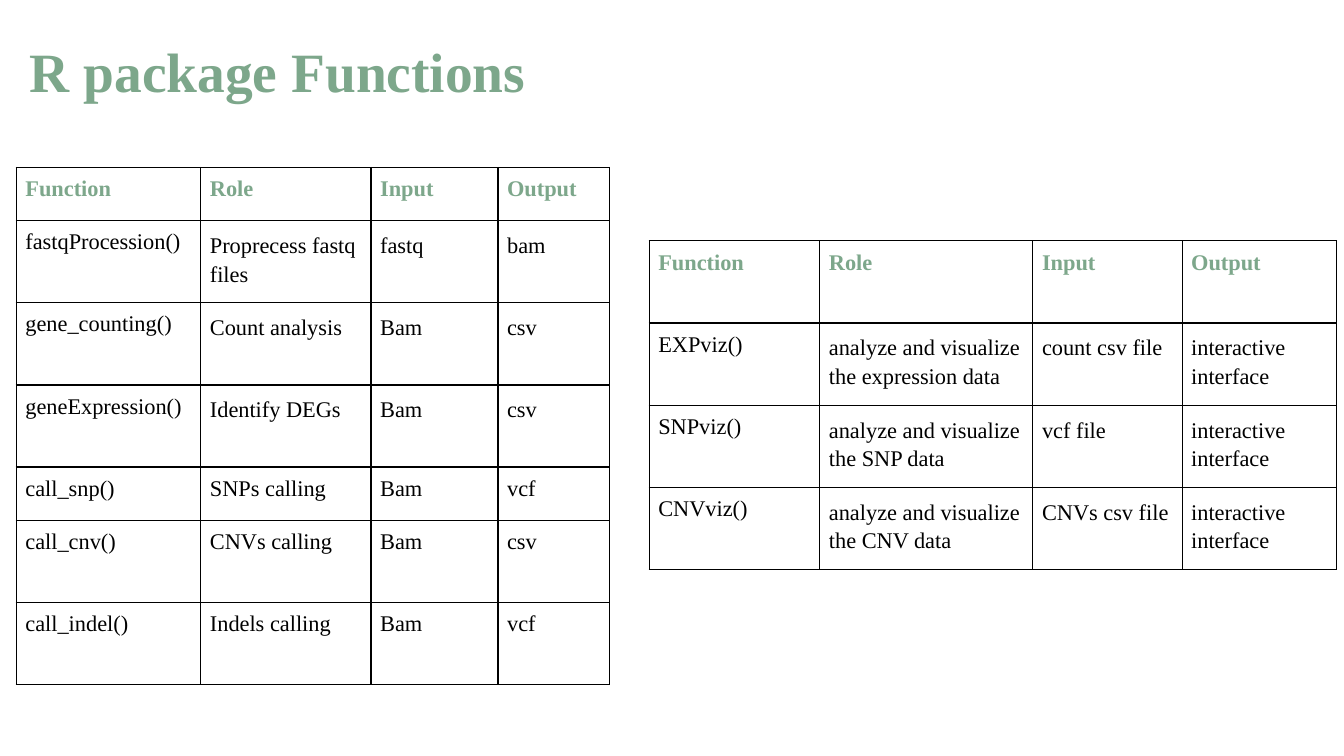
import dataclasses

import lxml.etree
import pptx
import pptx.dml.color
import pptx.enum.text
import pptx.oxml.ns
import pptx.util

FONT = "Times New Roman"
GREEN = "7DA78B"
BLACK = "000000"
SHORT_ROW = 1.34
TALL_ROW = 2.07
SPACED_ROWS = range(1, 4)
HEADINGS = ("Function", "Role", "Input", "Output")


@dataclasses.dataclass(frozen=True)
class FunctionTable:
    left: float
    top: float
    widths: tuple[float, ...]
    heights: tuple[float, ...]
    records: tuple[tuple[str, ...], ...]


PROCESSING = FunctionTable(
    left=0.41,
    top=4.22,
    widths=(4.65, 4.29, 3.2, 2.81),
    heights=(SHORT_ROW, *[TALL_ROW] * 3, SHORT_ROW, *[TALL_ROW] * 2),
    records=(
        ("fastqProcession()", "Proprecess fastq files", "fastq", "bam"),
        ("gene_counting()", "Count analysis", "Bam", "csv"),
        ("geneExpression()", "Identify DEGs", "Bam", "csv"),
        ("call_snp()", "SNPs calling", "Bam", "vcf"),
        ("call_cnv()", "CNVs calling", "Bam", "csv"),
        ("call_indel()", "Indels calling", "Bam", "vcf"),
    ),
)

VISUALIZATION = FunctionTable(
    left=16.36,
    top=6.07,
    widths=(4.3, 5.37, 3.76, 3.9),
    heights=(TALL_ROW,) * 4,
    records=(
        ("EXPviz()", "analyze and visualize the expression data",
         "count csv file", "interactive interface"),
        ("SNPviz()", "analyze and visualize the SNP data",
         "vcf file", "interactive interface"),
        ("CNVviz()", "analyze and visualize the CNV data",
         "CNVs csv file", "interactive interface"),
    ),
)


def color(value: str) -> pptx.dml.color.RGBColor:
    return pptx.dml.color.RGBColor.from_string(value)


def write(frame, text: str, size: float, shade: str, bold: bool, spacing: float) -> None:
    frame.text = text
    para = frame.paragraphs[0]
    para.alignment = pptx.enum.text.PP_ALIGN.LEFT
    para.line_spacing = spacing
    for span in para.runs:
        span.font.name = FONT
        span.font.size = pptx.util.Pt(size)
        span.font.bold = bold
        span.font.color.rgb = color(shade)


def set_margins(box, margin: float) -> None:
    for side in ("left", "right", "top", "bottom"):
        setattr(box, f"margin_{side}", pptx.util.Cm(margin))


def add_borders(cell) -> None:
    qn = pptx.oxml.ns.qn
    properties = cell._tc.get_or_add_tcPr()
    for side in ("lnL", "lnR", "lnT", "lnB"):
        line = lxml.etree.SubElement(properties, qn(f"a:{side}"), w=str(pptx.util.Pt(1)))
        fill = lxml.etree.SubElement(line, qn("a:solidFill"))
        lxml.etree.SubElement(fill, qn("a:srgbClr"), val=BLACK)


def add_title(page) -> None:
    title = page.shapes.title
    title.left, title.top = pptx.util.Cm(0.41), pptx.util.Cm(0.81)
    title.width, title.height = pptx.util.Cm(31.55), pptx.util.Cm(2.13)
    frame = title.text_frame
    set_margins(frame, 0.34)
    frame.word_wrap = True
    frame.auto_size = pptx.enum.text.MSO_AUTO_SIZE.NONE
    frame.vertical_anchor = pptx.enum.text.MSO_ANCHOR.MIDDLE
    write(frame, "R package Functions", 39.6, GREEN, True, 0.9)


def add_function_table(page, layout: FunctionTable) -> None:
    table = page.shapes.add_table(
        len(layout.heights), len(layout.widths),
        pptx.util.Cm(layout.left), pptx.util.Cm(layout.top),
        pptx.util.Cm(sum(layout.widths)), pptx.util.Cm(sum(layout.heights)),
    ).table
    table.first_row = False
    table.horz_banding = False
    for column, width in zip(table.columns, layout.widths):
        column.width = pptx.util.Cm(width)
    for row, height in zip(table.rows, layout.heights):
        row.height = pptx.util.Cm(height)
    for row_index, record in enumerate((HEADINGS, *layout.records)):
        heading = row_index == 0
        for column_index, text in enumerate(record):
            cell = table.cell(row_index, column_index)
            spaced = row_index in SPACED_ROWS and column_index > 0
            set_margins(cell, 0.23)
            write(cell.text_frame, text, 16, GREEN if heading else BLACK,
                  heading, 1.15 if spaced else 1.0)
            add_borders(cell)
            cell.fill.background()


def main() -> None:
    deck = pptx.Presentation()
    deck.slide_width = pptx.util.Cm(33.87)
    deck.slide_height = pptx.util.Cm(19.05)
    page = deck.slides.add_slide(deck.slide_layouts[5])
    add_title(page)
    for layout in (PROCESSING, VISUALIZATION):
        add_function_table(page, layout)
    deck.save("out.pptx")


if __name__ == "__main__":
    main()
